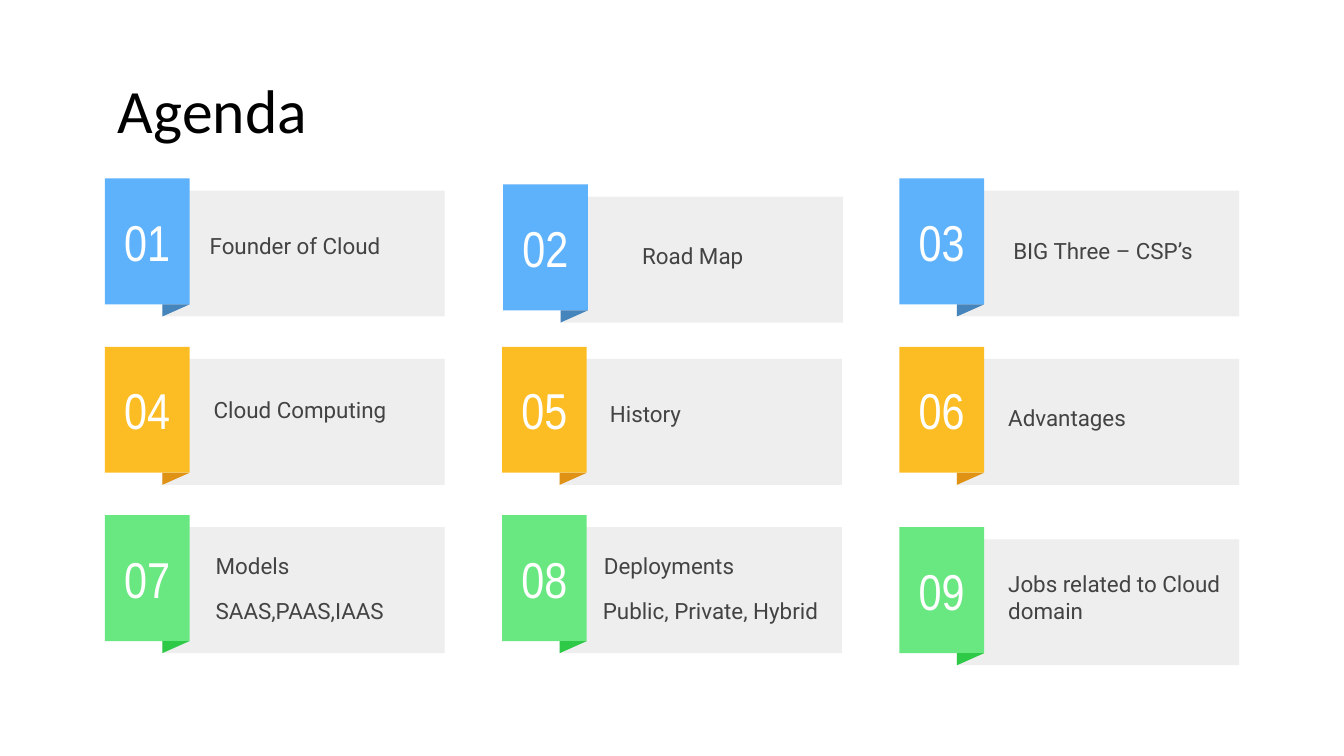
from pptx import Presentation
from pptx.dml.color import RGBColor
from pptx.enum.shapes import MSO_SHAPE
from pptx.enum.text import MSO_ANCHOR, MSO_AUTO_SIZE, PP_ALIGN
from pptx.util import Inches, Pt

RECTANGLE = MSO_SHAPE.RECTANGLE
MIDDLE = MSO_ANCHOR.MIDDLE
NO_AUTOFIT = MSO_AUTO_SIZE.NONE
LEFT, CENTER = PP_ALIGN.LEFT, PP_ALIGN.CENTER

COLORS = {
    "title": "000000", "label": "434343", "number": "FFFFFF", "panel": "EEEEEE",
    "blue": "5EB2FC", "blue fold": "4685BC",
    "amber": "FCBD24", "amber fold": "E09214",
    "green": "69E781", "green fold": "2FC948",
}
ROW_COLORS = ["blue", "amber", "green"]

GRID_LEFT, GRID_TOP = 1.04, 1.77
COLUMN_STEP, ROW_STEP = 3.94, 1.67
CARD_HEIGHT = 1.25
TAB_WIDTH = 0.84
PANEL_WIDTH = 2.8
PANEL_INDENT = 0.57
FOLD_HEIGHT = 0.12
LABEL_WIDTH = 2.43
LABEL_HEIGHT, TALL_LABEL_HEIGHT = 0.53, 0.73
INSET = 0.13

CARD_SHIFTS = {2: (0.01, 0.06), 9: (0, 0.12)}
CARD_LABELS = [
    [("Founder of Cloud", 0.91, 0.4, LABEL_HEIGHT)],
    [("Road Map", 1.25, 0.44, LABEL_HEIGHT)],
    [("BIG Three – CSP’s", 1, 0.45, LABEL_HEIGHT)],
    [("Cloud Computing", 0.95, 0.36, LABEL_HEIGHT)],
    [("History", 0.94, 0.4, LABEL_HEIGHT)],
    [("Advantages", 0.95, 0.44, LABEL_HEIGHT)],
    [("Models", 0.97, 0.24, LABEL_HEIGHT),
     ("SAAS,PAAS,IAAS", 0.97, 0.68, LABEL_HEIGHT)],
    [("Deployments", 0.88, 0.24, LABEL_HEIGHT),
     ("Public, Private, Hybrid", 0.87, 0.68, LABEL_HEIGHT)],
    [("Jobs related to Cloud domain", 0.95, 0.33, TALL_LABEL_HEIGHT)],
]


def rgb(name):
    return RGBColor.from_string(COLORS[name])


def write_text(shape, text, font_name, size, color, alignment):
    frame = shape.text_frame
    frame.word_wrap = True
    frame.auto_size = NO_AUTOFIT
    frame.vertical_anchor = MIDDLE
    frame.margin_left = frame.margin_right = Inches(INSET)
    frame.margin_top = frame.margin_bottom = Inches(INSET)
    paragraph = frame.paragraphs[0]
    paragraph.alignment = alignment
    run = paragraph.add_run()
    run.text = text
    run.font.name = font_name
    run.font.size = Pt(size)
    run.font.color.rgb = rgb(color)
    return paragraph


def paint(shape, color):
    shape.shadow.inherit = False
    shape.fill.solid()
    shape.fill.fore_color.rgb = rgb(color)
    shape.line.fill.background()


def add_block(slide, left, top, width, color):
    block = slide.shapes.add_shape(
        RECTANGLE, Inches(left), Inches(top), Inches(width), Inches(CARD_HEIGHT))
    paint(block, color)
    return block


def add_fold(slide, left, top, right, color):
    builder = slide.shapes.build_freeform(Inches(left), Inches(top))
    builder.add_line_segments([
        (Inches(left), Inches(top + FOLD_HEIGHT)),
        (Inches(right), Inches(top)),
    ], close=True)
    paint(builder.convert_to_shape(), color)


def add_title(slide, left, top, width, height):
    title = slide.shapes.title
    title.left, title.top = Inches(left), Inches(top)
    title.width, title.height = Inches(width), Inches(height)
    paragraph = write_text(title, "Agenda", "Calibri", 44, "title", LEFT)
    paragraph.line_spacing = 0.9


def add_card(slide, left, top, number, color, labels):
    panel_left = left + PANEL_INDENT
    add_block(slide, panel_left, top + FOLD_HEIGHT, PANEL_WIDTH, "panel")
    tab = add_block(slide, left, top, TAB_WIDTH, color)
    write_text(tab, f"{number:02d}", "Arial Narrow", 36, "number", CENTER)
    add_fold(slide, panel_left, top + CARD_HEIGHT, left + TAB_WIDTH, f"{color} fold")
    for text, indent, drop, height in labels:
        label = slide.shapes.add_textbox(
            Inches(left + indent), Inches(top + drop),
            Inches(LABEL_WIDTH), Inches(height))
        write_text(label, text, "Roboto", 16, "label", LEFT)


def add_agenda(slide, left, top):
    for index, labels in enumerate(CARD_LABELS):
        row, column = divmod(index, 3)
        number = index + 1
        shift_x, shift_y = CARD_SHIFTS.get(number, (0, 0))
        add_card(slide, left + column * COLUMN_STEP + shift_x,
                 top + row * ROW_STEP + shift_y, number, ROW_COLORS[row], labels)


def main():
    presentation = Presentation()
    presentation.slide_width = Inches(13.33)
    presentation.slide_height = Inches(7.5)
    slide = presentation.slides.add_slide(presentation.slide_layouts[5])
    add_title(slide, 1.04, 0.78, 11.26, 0.7)
    add_agenda(slide, GRID_LEFT, GRID_TOP)
    presentation.save("out.pptx")


if __name__ == "__main__":
    main()
